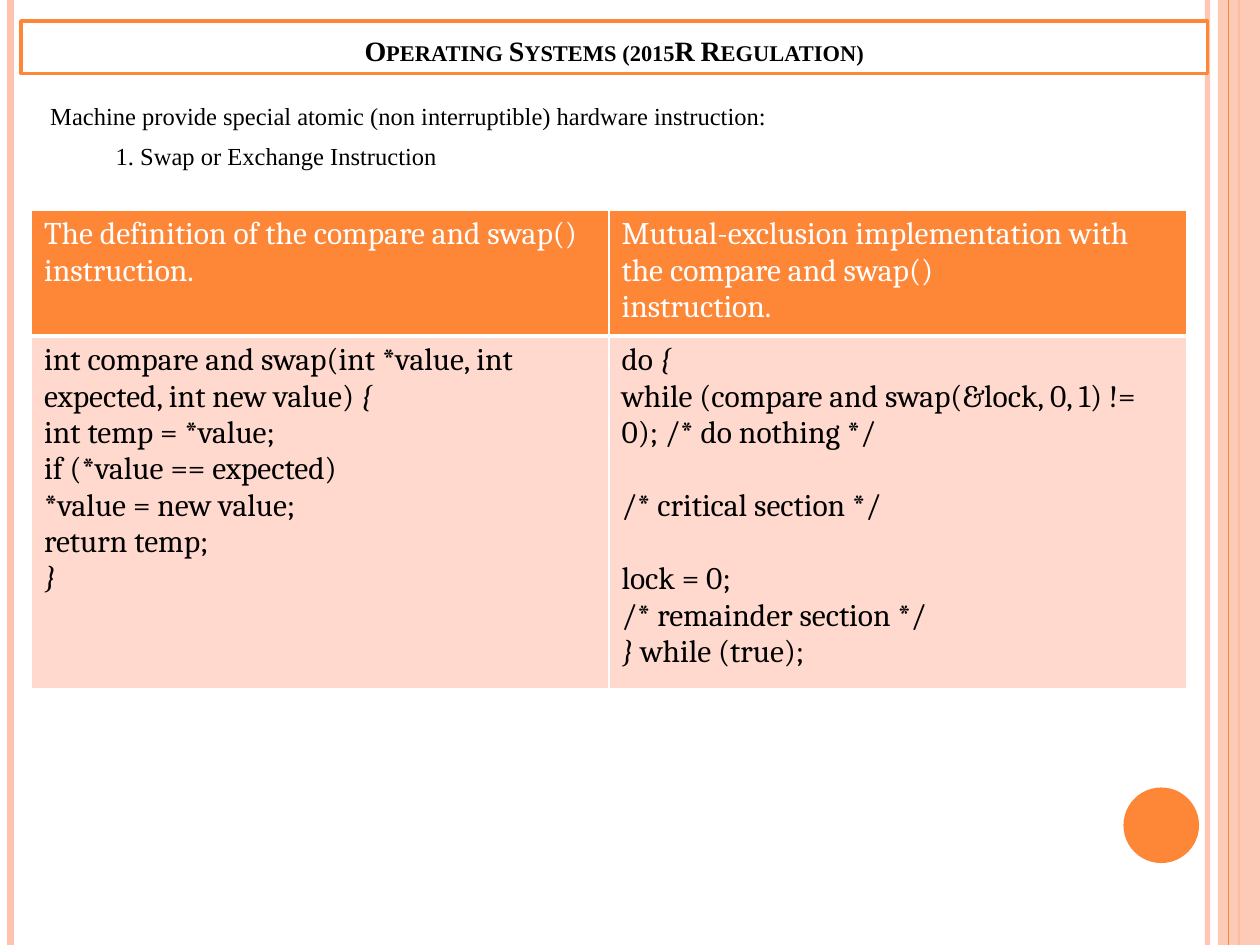
"""Build the slide on the compare and swap instruction."""
from itertools import groupby

from lxml import etree
from pptx import Presentation
from pptx.dml.color import RGBColor
from pptx.enum.shapes import MSO_CONNECTOR, MSO_SHAPE
from pptx.enum.text import MSO_ANCHOR, PP_ALIGN
from pptx.oxml.ns import qn
from pptx.util import Inches, Pt

STRAIGHT = MSO_CONNECTOR.STRAIGHT
RECTANGLE, OVAL = MSO_SHAPE.RECTANGLE, MSO_SHAPE.OVAL
BOTTOM, CENTER = MSO_ANCHOR.BOTTOM, PP_ALIGN.CENTER

BLACK = RGBColor(0x00, 0x00, 0x00)
WHITE = RGBColor(0xFF, 0xFF, 0xFF)
ORANGE = RGBColor(0xFE, 0x86, 0x37)
PEACH = RGBColor(0xFE, 0xC3, 0xAE)
PALE = RGBColor(0xFF, 0xD9, 0xCE)

SERIF, CODE = "Times New Roman", "Cambria"
COLUMNS, ROWS = 120, 90
CODE_LINE = 21

HEADERS = [
    ["The definition of the compare and swap() instruction."],
    ["Mutual-exclusion implementation with the compare and swap()", "instruction."],
]
LISTINGS = [
    [
        "int compare and swap(int *value, int expected, int new value) {",
        "int temp = *value;",
        "if (*value == expected)",
        "*value = new value;",
        "return temp;",
        "}",
    ],
    [
        "do {",
        "while (compare and swap(&lock, 0, 1) != 0); /* do nothing */",
        "/* critical section */",
        "lock = 0;",
        "/* remainder section */",
        "} while (true);",
    ],
]
SPACED_LINES = {"/* critical section */", "lock = 0;"}


def add_text(paragraph, text, font=CODE, size=18, color=BLACK, bold=False,
             italic=False, small_caps=False):
    run = paragraph.add_run()
    run.text = text
    run.font.name = font
    run.font.size = Pt(size)
    run.font.color.rgb = color
    run.font.bold = bold
    run.font.italic = italic
    if small_caps:
        run.font._element.set("cap", "small")


def set_opacity(element, percent):
    color = next(element.iter(qn("a:srgbClr")))
    etree.SubElement(color, qn("a:alpha"), val=str(percent * 1000))


def set_borders(cell, color, **widths):
    properties = cell._tc.get_or_add_tcPr()
    for side in "LRTB":
        line = etree.SubElement(properties, qn("a:ln" + side),
                                w=str(Pt(widths.get(side, 1))))
        fill = etree.SubElement(line, qn("a:solidFill"))
        etree.SubElement(fill, qn("a:srgbClr"), val=str(color))


def fill_paragraphs(text_frame, lines):
    for index, line in enumerate(lines):
        paragraph = text_frame.add_paragraph() if index else text_frame.paragraphs[0]
        yield paragraph, line


class SlideBuilder:
    def __init__(self, presentation):
        self.slide = presentation.slides.add_slide(presentation.slide_layouts[6])
        self.column = presentation.slide_width / COLUMNS
        self.row = presentation.slide_height / ROWS

    def place(self, left, top, width, height):
        return (round(left * self.column), round(top * self.row),
                round(width * self.column), round(height * self.row))

    def stripe(self, column, color, width, opacity=100):
        x, top, _, bottom = self.place(column, 0, 0, ROWS)
        connector = self.slide.shapes.add_connector(STRAIGHT, x, top, x, bottom)
        connector.line.color.rgb = color
        connector.line.width = Pt(width)
        properties = connector._element.spPr
        if opacity < 100:
            set_opacity(properties, opacity)
        etree.SubElement(properties, qn("a:effectLst"))

    def shape(self, kind, box, fill, line=None, opacity=100):
        shape = self.slide.shapes.add_shape(kind, *self.place(*box))
        shape.shadow.inherit = False
        shape.fill.solid()
        shape.fill.fore_color.rgb = fill
        if opacity < 100:
            set_opacity(shape._element.spPr, opacity)
        if line is None:
            shape.line.fill.background()
        else:
            shape.line.color.rgb = line
            shape.line.width = Pt(2)
        return shape

    def title(self, box, text):
        shape = self.shape(RECTANGLE, box, WHITE, line=ORANGE)
        shape.text_frame.vertical_anchor = BOTTOM
        paragraph = shape.text_frame.paragraphs[0]
        paragraph.alignment = CENTER
        add_text(paragraph, text, font=SERIF, size=16, bold=True, small_caps=True)

    def body(self, box, lines):
        text_frame = self.slide.shapes.add_textbox(*self.place(*box)).text_frame
        text_frame.word_wrap = True
        for paragraph, (text, indent) in fill_paragraphs(text_frame, lines):
            paragraph.space_before = Pt(6)
            paragraph._p.get_or_add_pPr().set("marL", str(Inches(indent)))
            add_text(paragraph, text, font=SERIF, size=14)

    def table(self, box, row_heights, headers, listings):
        table = self.slide.shapes.add_table(
            len(row_heights), len(headers), *self.place(*box)).table
        for row, height in zip(table.rows, row_heights):
            row.height = round(height * self.row)
        for index, (header, listing) in enumerate(zip(headers, listings)):
            self.cell(table.cell(0, index), header, ORANGE, WHITE, B=3)
            self.cell(table.cell(1, index), listing, PALE, BLACK)

    def cell(self, cell, lines, fill, color, **borders):
        set_borders(cell, WHITE, **borders)
        cell.fill.solid()
        cell.fill.fore_color.rgb = fill
        for paragraph, line in fill_paragraphs(cell.text_frame, lines):
            if line in SPACED_LINES:
                paragraph.space_before = Pt(CODE_LINE)
            for is_brace, letters in groupby(line, lambda letter: letter in "{}"):
                add_text(paragraph, "".join(letters), color=color, italic=is_brace)


def main():
    presentation = Presentation()
    presentation.slide_width = Inches(10)
    presentation.slide_height = Inches(7.5)

    builder = SlideBuilder(presentation)
    builder.stripe(115, PEACH, 3, opacity=93)
    builder.stripe(1, PEACH, 4.5)
    builder.stripe(118, ORANGE, 1.5)
    builder.shape(RECTANGLE, (116, 0, 4, ROWS), PEACH, opacity=87)
    builder.stripe(117, ORANGE, 0.75)
    builder.shape(OVAL, (107, 75, 7.2, 7.2), ORANGE)
    builder.body((3, 9, 111, 76), [
        ("Machine provide special atomic (non interruptible) hardware instruction:", 0.05),
        ("1. Swap or Exchange Instruction", 0.57),
    ])
    builder.table((3, 20, 110, 45.6), (12, 33.6), HEADERS, LISTINGS)
    builder.title((2, 2, 113, 5), "Operating Systems (2015R Regulation)")

    presentation.save("out.pptx")


if __name__ == "__main__":
    main()
